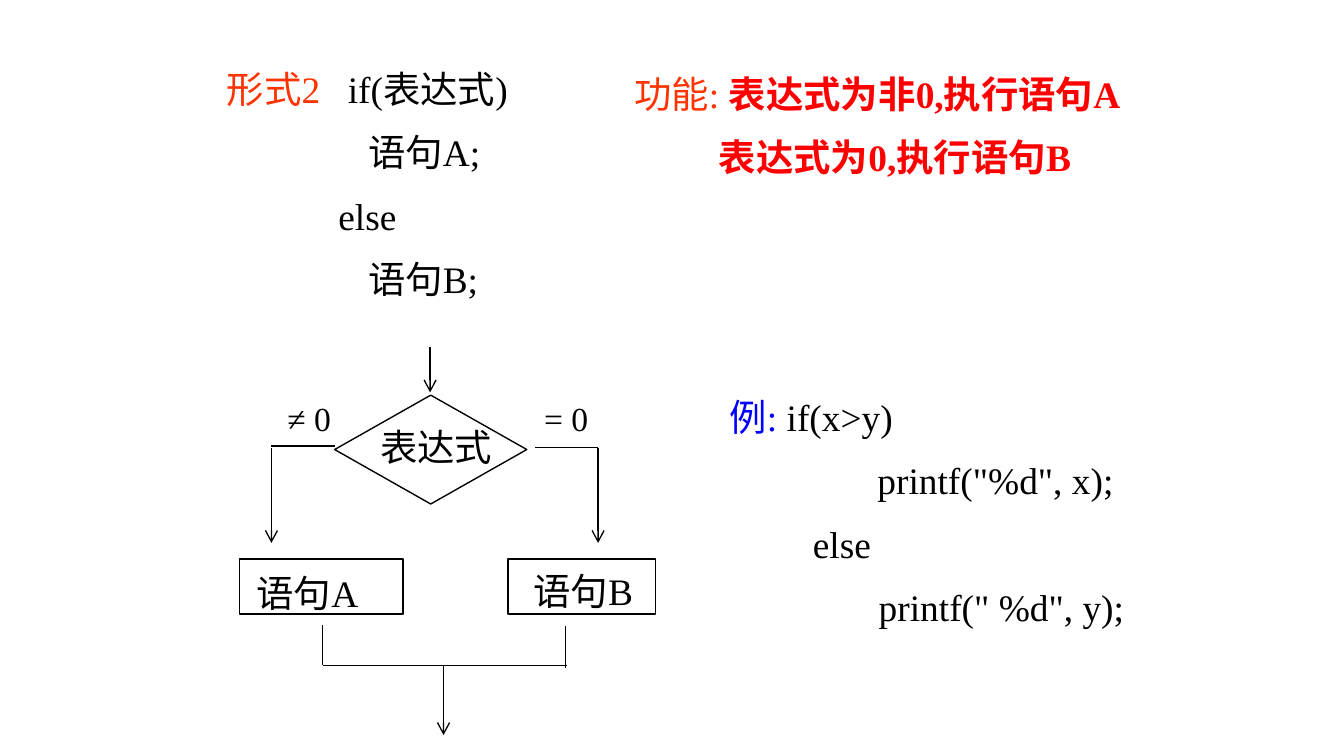
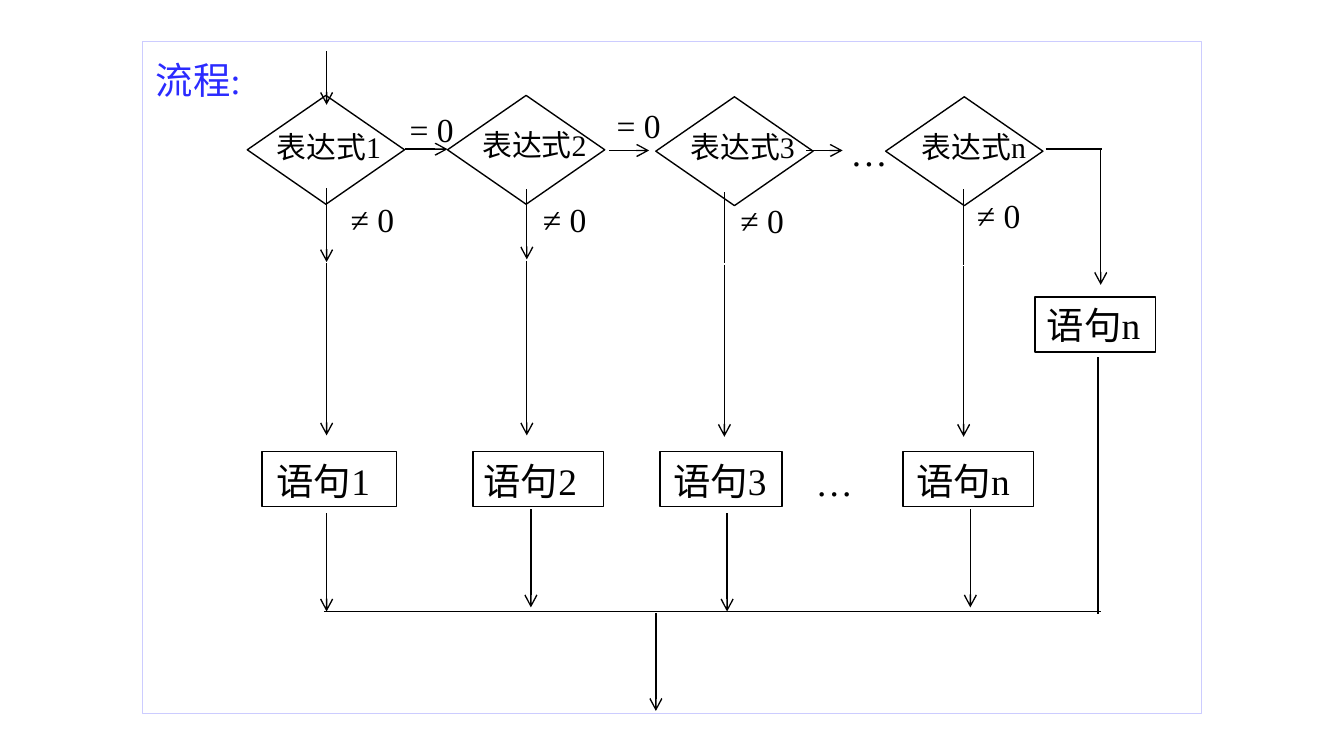
import dataclasses

import pptx
import pptx.dml.color
import pptx.enum.shapes
import pptx.enum.text
import pptx.oxml
import pptx.oxml.ns
import pptx.util

Inches = pptx.util.Inches
Pt = pptx.util.Pt
Shape = pptx.enum.shapes.MSO_SHAPE

FONT = "Times New Roman"
BLACK, WHITE = "000000", "FFFFFF"
ORANGE, RED, BLUE = "FF3300", "FF0000", "0000FF"
FLOW_BLUE, FRAME_LILAC = "2B2BFF", "CCCCFF"
LINE_WIDTH = 0.75
BODY, SMALL, CAPTION = 20, 18, 16
NODE_HEIGHT, DIAMOND_HEIGHT = 0.41, 0.81
NOT_ZERO, ZERO = "≠ 0", "= 0"


@dataclasses.dataclass
class Branch:
    """One column of the else-if chain; x values count from its diamond's left."""
    name: str
    left: float
    top: float
    caption: float
    caption_top: float
    label: float
    label_top: float
    drop: float
    drop_top: float
    drop_middle: float
    drop_bottom: float
    has_middle_arrow: bool
    node: float
    node_width: float
    node_caption: float
    exit: float
    exit_top: float


BRANCHES = [
    Branch("1", 0.78, 0.40, 0.12, 0.60, 0.67, 1.12, 0.59, 1.09, 1.64, 2.93,
           True, 0.11, 1.00, 0.12, 0.59, 3.51),
    Branch("2", 2.27, 0.40, 0.16, 0.58, 0.61, 1.12, 0.59, 1.10, 1.62, 2.93,
           True, 0.19, 0.97, 0.17, 0.62, 3.48),
    Branch("3", 3.82, 0.41, 0.16, 0.60, 0.53, 1.13, 0.51, 1.12, 1.65, 2.94,
           False, 0.03, 0.91, 0.03, 0.53, 3.51),
    Branch("n", 5.53, 0.41, 0.17, 0.60, 0.58, 1.09, 0.58, 1.10, 1.66, 2.94,
           False, 0.13, 0.97, 0.13, 0.63, 3.48),
]


def color(value):
    return pptx.dml.color.RGBColor.from_string(value)


def add_text(shapes, lines, left, top, width, height, size=BODY, ink=BLACK,
             indents=(), tab=None):
    """Lines are strings or lists of (text, colour, bold) runs."""
    box = shapes.add_textbox(Inches(left), Inches(top), Inches(width), Inches(height))
    frame = box.text_frame
    frame.word_wrap = True
    frame.auto_size = pptx.enum.text.MSO_AUTO_SIZE.SHAPE_TO_FIT_TEXT
    lines = [lines] if isinstance(lines, str) else lines
    for index, line in enumerate(lines):
        paragraph = frame.add_paragraph() if index else frame.paragraphs[0]
        properties = paragraph._p.get_or_add_pPr()
        if index:
            paragraph.space_before = Pt(size / 2)
        if index < len(indents) and indents[index]:
            properties.set("marL", str(Inches(indents[index])))
        if tab and index == 0:
            stops = pptx.oxml.parse_xml(
                f'<a:tabLst {pptx.oxml.ns.nsdecls("a")}>'
                f'<a:tab pos="{Inches(tab)}" algn="l"/></a:tabLst>')
            properties.append(stops)
        runs = [(line, ink, False)] if isinstance(line, str) else line
        for text, run_color, bold in runs:
            run = paragraph.add_run()
            run.text = text
            run.font.name = FONT
            run.font.size = Pt(size)
            run.font.bold = bold
            run.font.color.rgb = color(run_color)
    return box


def add_outline(shapes, kind, left, top, width, height, line=BLACK, fill=None):
    shape = shapes.add_shape(kind, Inches(left), Inches(top), Inches(width), Inches(height))
    shape.shadow.inherit = False
    if fill:
        shape.fill.solid()
        shape.fill.fore_color.rgb = color(fill)
    else:
        shape.fill.background()
    shape.line.color.rgb = color(line)
    shape.line.width = Pt(LINE_WIDTH)


def add_line(shapes, x1, y1, x2, y2, arrow=False):
    connector = shapes.add_connector(
        pptx.enum.shapes.MSO_CONNECTOR.STRAIGHT,
        Inches(x1), Inches(y1), Inches(x2), Inches(y2))
    connector.line.color.rgb = color(BLACK)
    connector.line.width = Pt(LINE_WIDTH)
    namespace = pptx.oxml.ns.nsdecls("a")
    if arrow:
        connector.line._get_or_add_ln().append(
            pptx.oxml.parse_xml(f'<a:tailEnd {namespace} type="arrow"/>'))
    connector._element.spPr.append(pptx.oxml.parse_xml(f"<a:effectLst {namespace}/>"))


def add_syntax(shapes, left, top):
    lines = [[("形式2", ORANGE, False), ("\tif(表达式)", BLACK, False)],
             "语句A;", "else", "语句B;"]
    add_text(shapes, lines, left, top, 6.94, 1.95,
             indents=(0, 1.05, 0.83, 1.05), tab=0.9)


def add_meaning(shapes, left, top):
    lines = [[("功能: ", ORANGE, False), ("表达式为非0,执行语句A", RED, True)],
             [("表达式为0,执行语句B", RED, True)]]
    add_text(shapes, lines, left, top, 4.59, 0.94, indents=(0, 0.63))


def add_example(shapes, left, top):
    lines = [[("例:", BLUE, False), (" if(x>y)", BLACK, False)],
             'printf("%d", x);', "else", 'printf(" %d", y);']
    add_text(shapes, lines, left, top, 3.28, 1.95, indents=(0, 1.1, 0.62, 1.11))


def add_two_way_flow(shapes, left, top):
    """Flowchart of if/else with one statement on each side."""
    add_text(shapes, "表达式", left + 0.95, top + 0.53, 1.19, 0.44)
    add_line(shapes, left + 1.42, top, left + 1.42, top + 0.34, arrow=True)
    add_outline(shapes, Shape.DIAMOND, left + 0.71, top + 0.36, 1.43, DIAMOND_HEIGHT)
    sides = [
        # name, caption x, caption y, label, label x, node x, node width, inner x, outer x, y
        ("语句A", 0.03, 1.61, NOT_ZERO, 0.26, 0, 1.22, 0.71, 0.24, 0.74),
        ("语句B", 2.09, 1.60, ZERO, 2.17, 2.0, 1.10, 2.20, 2.67, 0.75),
    ]
    for (name, caption_x, caption_y, label, label_x,
         node_x, node_width, inner, outer, y) in sides:
        add_text(shapes, name, left + caption_x, top + caption_y, 1.18, 0.44)
        add_text(shapes, label, left + label_x, top + 0.33, 0.82, 0.41, size=SMALL)
        add_outline(shapes, Shape.RECTANGLE, left + node_x, top + 1.58,
                    node_width, NODE_HEIGHT)
        add_line(shapes, left + inner, top + y, left + outer, top + y)
        add_line(shapes, left + outer, top + 0.75, left + outer, top + 1.46, arrow=True)
    join = top + 2.37
    for x, start, end in ((0.62, 2.07, 2.37), (2.43, 2.08, 2.39)):
        add_line(shapes, left + x, top + start, left + x, top + end)
    add_line(shapes, left + 0.62, join, left + 2.44, join)
    add_line(shapes, left + 1.52, join, left + 1.52, join + 0.52, arrow=True)


def add_branch(shapes, branch, left, top):
    """Condition, drop lines, statement and exit arrow of one column."""
    x = left + branch.left
    add_outline(shapes, Shape.DIAMOND, x, top + branch.top, 1.17, DIAMOND_HEIGHT)
    add_text(shapes, "表达式" + branch.name, x + branch.caption, top + branch.caption_top,
             1.29, 0.37, size=CAPTION)
    add_text(shapes, NOT_ZERO, x + branch.label, top + branch.label_top,
             0.82, 0.41, size=SMALL)
    drop, middle = x + branch.drop, top + branch.drop_middle
    add_line(shapes, drop, top + branch.drop_top, drop, middle,
             arrow=branch.has_middle_arrow)
    add_line(shapes, drop, middle + 0.01, drop, top + branch.drop_bottom, arrow=True)
    add_outline(shapes, Shape.RECTANGLE, x + branch.node, top + 3.05,
                branch.node_width, NODE_HEIGHT)
    add_text(shapes, "语句" + branch.name, x + branch.node_caption, top + 3.05, 1.25, 0.44)
    exit_x, exit_top = x + branch.exit, top + branch.exit_top
    add_line(shapes, exit_x, exit_top, exit_x, exit_top + 0.73, arrow=True)


def add_final_else(shapes, left, top):
    """Right-hand path taken when every condition is zero."""
    add_line(shapes, left + 6.72, top + 0.8, left + 7.14, top + 0.8)
    add_line(shapes, left + 7.13, top + 0.81, left + 7.13, top + 1.81, arrow=True)
    add_outline(shapes, Shape.RECTANGLE, left + 6.64, top + 1.9, 0.9, NODE_HEIGHT)
    add_text(shapes, "语句n", left + 6.63, top + 1.89, 1.03, 0.44)
    add_line(shapes, left + 7.11, top + 2.35, left + 7.11, top + 4.26)


def add_chain_flow(shapes, left, top):
    """Framed flowchart of an else-if chain."""
    add_outline(shapes, Shape.RECTANGLE, left, top, 7.88, 5, line=FRAME_LILAC, fill=WHITE)
    add_text(shapes, "流程:", left, top + 0.07, 1.01, 0.44, ink=FLOW_BLUE)
    for branch in BRANCHES:
        add_branch(shapes, branch, left, top)
    add_line(shapes, left + 1.37, top + 0.07, left + 1.37, top + 0.47, arrow=True)
    for start, end, y in ((1.95, 2.27, 0.8), (3.47, 3.77, 0.81), (4.94, 5.21, 0.81)):
        add_line(shapes, left + start, top + y, left + end, top + y, arrow=True)
    for x, y in ((1.89, 0.45), (3.43, 0.42)):
        add_text(shapes, ZERO, left + x, top + y, 0.82, 0.41, size=SMALL)
    for x, y in ((5.17, 0.6), (4.91, 3.06)):
        add_text(shapes, "…", left + x, top + y, 0.67, 0.44)
    add_final_else(shapes, left, top)
    add_line(shapes, left + 1.35, top + 4.24, left + 7.13, top + 4.24)
    add_line(shapes, left + 3.82, top + 4.25, left + 3.82, top + 4.98, arrow=True)


def add_blank_slide(presentation):
    slide = presentation.slides.add_slide(presentation.slide_layouts[6])
    slide.background.fill.solid()
    slide.background.fill.fore_color.rgb = color(WHITE)
    return slide


def main():
    presentation = pptx.Presentation()
    presentation.slide_width = Inches(10)
    presentation.slide_height = presentation.slide_width * 9 // 16

    if_else = add_blank_slide(presentation)
    add_syntax(if_else.shapes, 1.59, 0.44)
    add_meaning(if_else.shapes, 4.62, 0.48)
    add_two_way_flow(if_else.shapes.add_group_shape().shapes, 1.78, 2.58)
    add_example(if_else.shapes, 5.33, 2.88)

    else_if_chain = add_blank_slide(presentation)
    add_chain_flow(else_if_chain.shapes, 1.06, 0.31)

    presentation.save("out.pptx")


if __name__ == "__main__":
    main()
